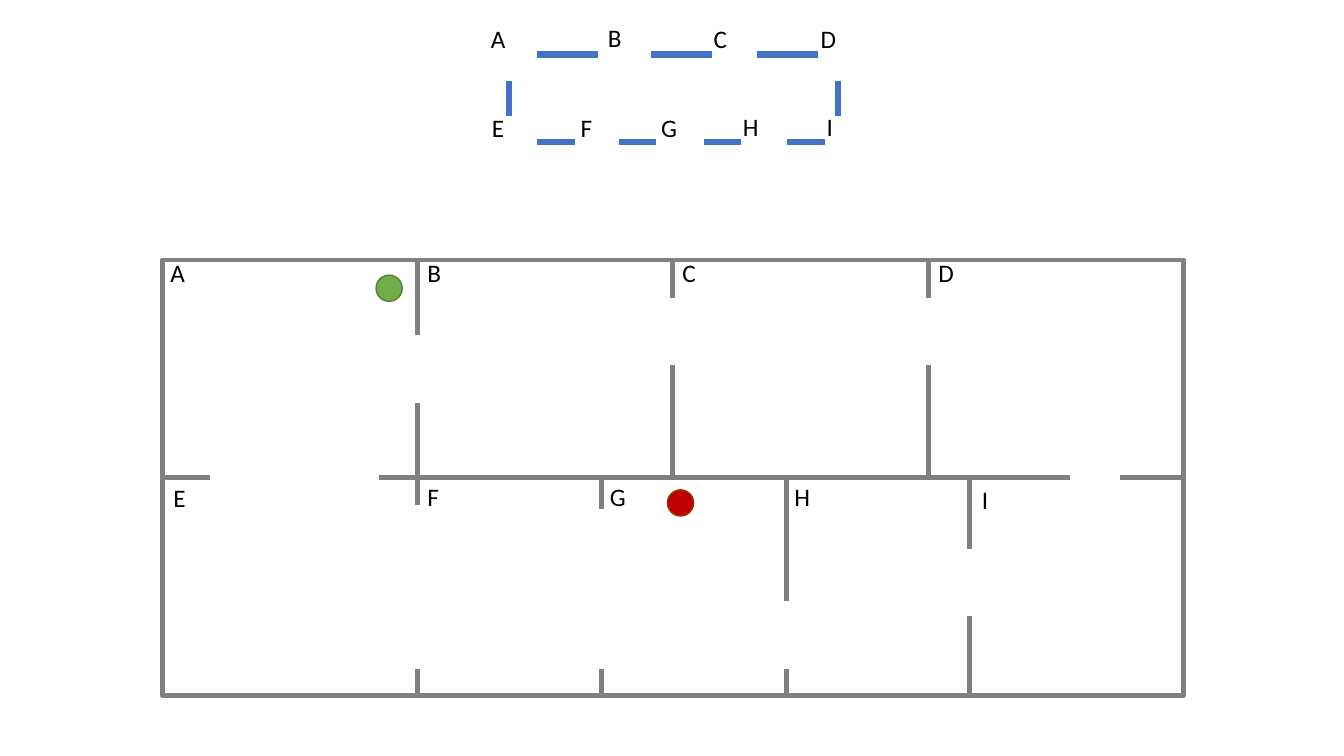
"""Build a floor plan of nine rooms with a graph of their doors above it."""
from pptx import Presentation
from pptx import util as u
from pptx.dml import color
from pptx.enum import shapes, text
from pptx.oxml import xmlchemy

COLORS = {
    "white": "FFFFFF", "wall": "808080", "ink": "000000", "edge": "4472C4",
    "start": "70AD47", "start rim": "538035", "goal": "C00000", "goal rim": "993300",
}
FRAME_FORMAT = {"word_wrap": False, "auto_size": text.MSO_AUTO_SIZE.SHAPE_TO_FIT_TEXT}
FONT_FORMAT = {"name": "Calibri", "size": u.Pt(18)}

plan = Presentation()
plan.slide_width, plan.slide_height = u.Inches(13.33), u.Inches(7.5)
slide = plan.slides.add_slide(plan.slide_layouts[6])


def add_block(preset, box, fill, rim, weight):
    block = slide.shapes.add_shape(preset, *map(u.Inches, box))
    block.shadow.inherit = False
    block.fill.solid()
    block.fill.fore_color.rgb = color.RGBColor.from_string(COLORS[fill])
    block.line.color.rgb = color.RGBColor.from_string(COLORS[rim])
    block.line.width = u.Pt(weight)


room_height = 2.16
floors = [
    (2.58, [1.61, 4.14, 6.67, 9.21, 11.74]),
    (4.74, [1.61, 4.14, 5.97, 7.8, 9.62, 11.74]),
]
for top, walls in floors:
    for left, right in zip(walls, walls[1:]):
        add_block(shapes.MSO_SHAPE.RECTANGLE, (left, top, right - left, room_height),
                  "white", "wall", 3.5)

door_width, door_height = 0.48, 0.66
doors = [
    (3.87, 3.33, door_width, door_height),
    (2.09, 4.47, 1.66, door_height),
    (3.76, 5.02, door_width, 1.61),
    (5.57, 5.06, door_width, 1.57),
    (7.56, 5.97, door_width, door_height),
    (6.36, 2.96, door_width, door_height),
    (8.94, 2.96, door_width, door_height),
    (10.62, 4.58, door_width, door_height),
    (9.34, 5.45, door_width, door_height),
]
for door in doors:
    add_block(shapes.MSO_SHAPE.RECTANGLE, door, "white", "white", 1)

letter_widths = dict(zip("ABCDEFGHI", [0.35, 0.34, 0.34, 0.36, 0.32, 0.32, 0.36, 0.36, 0.27]))
room_labels = [(1.59, 2.5), (4.14, 2.5), (6.67, 2.5), (9.21, 2.5),
               (1.62, 4.74), (4.14, 4.73), (5.95, 4.73), (7.78, 4.73), (9.64, 4.76)]
graph_nodes = [(4.77, 0.18), (5.93, 0.17), (6.98, 0.18), (8.04, 0.18),
               (4.78, 1.07), (5.66, 1.07), (6.46, 1.07), (7.27, 1.06), (8.1, 1.06)]
for places in (room_labels, graph_nodes):
    for (letter, width), (left, top) in zip(letter_widths.items(), places):
        label = slide.shapes.add_textbox(*map(u.Inches, (left, top, width, 0.4))).text_frame
        for name, value in FRAME_FORMAT.items():
            setattr(label, name, value)
        letter_run = label.paragraphs[0].add_run()
        letter_run.text = letter
        for name, value in FONT_FORMAT.items():
            setattr(letter_run.font, name, value)
        letter_run.font.color.rgb = color.RGBColor.from_string(COLORS["ink"])

edges = [(x, 0.8, x, 1.15) for x in (5.05, 8.31)]
edges += [(x, 0.54, x + 0.6, 0.54) for x in (5.33, 6.46, 7.51)]
edges += [(x, 1.41, x + 0.37, 1.41) for x in (5.33, 6.14, 6.98, 7.81)]
for ends in edges:
    edge = slide.shapes.add_connector(shapes.MSO_CONNECTOR.STRAIGHT, *map(u.Inches, ends))
    edge.line.color.rgb = color.RGBColor.from_string(COLORS["edge"])
    edge.line.width = u.Pt(4.5)
    edge.line._get_or_add_ln().addnext(xmlchemy.OxmlElement("a:effectLst"))

for marker, left, top in [("start", 3.73, 2.73), ("goal", 6.62, 4.86)]:
    add_block(shapes.MSO_SHAPE.OVAL, (left, top, 0.26, 0.26), marker, f"{marker} rim", 1)

plan.save("out.pptx")
